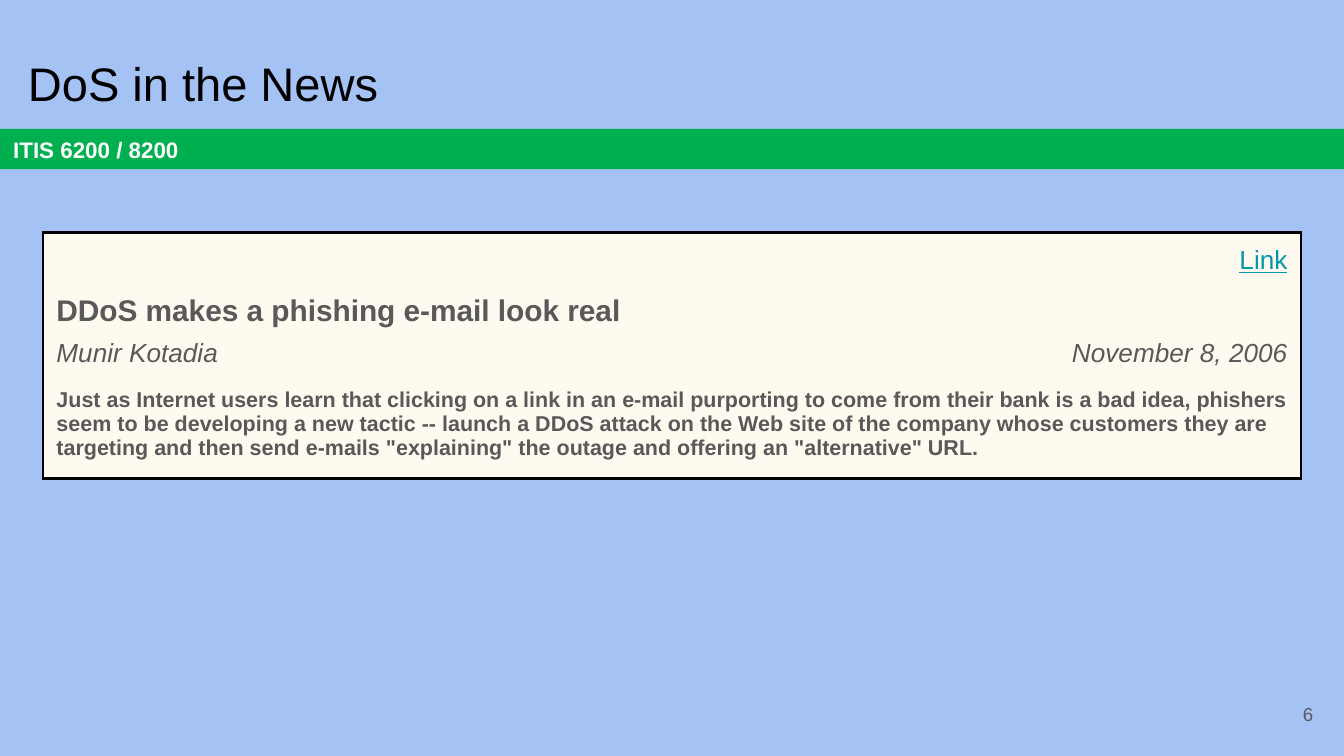
from lxml import etree
from pptx import Presentation
from pptx.dml.color import RGBColor
from pptx.enum import shapes, text
from pptx.oxml import ns
from pptx.util import Inches, Pt

BACKGROUND, BAND, CREAM = "A4C2F4", "00B050", "FFFAF0"
BLACK, WHITE, GREY, TEAL = "000000", "FFFFFF", "595959", "0097A7"
LEFT, RIGHT = text.PP_ALIGN.LEFT, text.PP_ALIGN.RIGHT
MIDDLE = text.MSO_ANCHOR.MIDDLE

COURSE = "ITIS 6200 / 8200"
TITLE = "DoS in the News"
PAGE = "6"
SUMMARY = (
    "Just as Internet users learn that clicking on a link in an e-mail "
    "purporting to come from their bank is a bad idea, phishers seem to be "
    "developing a new tactic -- launch a DDoS attack on the Web site of the "
    "company whose customers they are targeting and then send e-mails "
    '"explaining" the outage and offering an "alternative" URL.'
)
ARTICLE = [
    {"height": 0.39, "pad": 0.1, "cells": ["", "Link"],
     "style": {"size": 14, "color": TEAL, "underline": True}},
    {"height": 0.27, "pad": 0.03,
     "cells": ["DDoS makes a phishing e-mail look real"],
     "style": {"size": 16, "color": GREY, "bold": True}},
    {"height": 0.25, "pad": 0.03,
     "cells": ["Munir Kotadia", "November 8, 2006"],
     "style": {"size": 14, "color": GREY, "italic": True}},
    {"height": 0.68, "pad": 0.1, "cells": [SUMMARY],
     "style": {"size": 11.5, "color": GREY, "bold": True}},
]
COLUMN_WIDTH = 4.68


def rgb(value):
    return RGBColor.from_string(value)


def write(frame, words, size, color, align=LEFT, bold=False, italic=False,
          underline=False):
    paragraph = frame.paragraphs[0]
    if words:
        paragraph.text = words
    paragraph.alignment = align
    font = paragraph.font
    font.name, font.size = "Arial", Pt(size)
    font.bold, font.italic, font.underline = bold, italic, underline
    font.color.rgb = rgb(color)


def pad(part, side, vertical):
    part.margin_left = part.margin_right = Inches(side)
    part.margin_top = part.margin_bottom = Inches(vertical)


def write_box(box, words, **style):
    frame = box.text_frame
    frame.word_wrap = True
    frame.vertical_anchor = MIDDLE
    pad(frame, 0.1, 0.1)
    write(frame, words, **style)


def draw_borders(cell, sides):
    properties = cell._tc.get_or_add_tcPr()
    for side in "LRTB":
        line = etree.SubElement(properties, ns.qn(f"a:ln{side}"))
        if side in sides:
            line.set("w", str(Pt(1.5)))
            fill = etree.SubElement(line, ns.qn("a:solidFill"))
            etree.SubElement(fill, ns.qn("a:srgbClr"), val=BLACK)
        else:
            etree.SubElement(line, ns.qn("a:noFill"))


def outer_sides(row, first, last):
    edges = {"L": first == 0, "R": last == 1,
             "T": row == 0, "B": row == len(ARTICLE) - 1}
    return [side for side, outer in edges.items() if outer]


def add_article(slide):
    table = slide.shapes.add_table(
        len(ARTICLE), 2, Inches(0.32), Inches(1.73),
        Inches(2 * COLUMN_WIDTH),
        Inches(sum(row["height"] for row in ARTICLE))).table
    table.first_row = table.horz_banding = False
    for column in table.columns:
        column.width = Inches(COLUMN_WIDTH)
    for r, row in enumerate(ARTICLE):
        table.rows[r].height = Inches(row["height"])
        merged = len(row["cells"]) == 1
        if merged:
            table.cell(r, 0).merge(table.cell(r, 1))
        for c in range(2):
            cell = table.cell(r, c)
            draw_borders(cell, outer_sides(r, c, 1 if merged else c))
            cell.fill.solid()
            cell.fill.fore_color.rgb = rgb(CREAM)
            pad(cell, 0.1, row["pad"])
            words = row["cells"][c] if c < len(row["cells"]) else ""
            write(cell.text_frame, words, align=(LEFT, RIGHT)[c],
                  **row["style"])


def main():
    deck = Presentation()
    deck.slide_width = Inches(10)
    deck.slide_height = deck.slide_width * 9 // 16
    slide = deck.slides.add_slide(deck.slide_layouts[6])
    slide.background.fill.solid()
    slide.background.fill.fore_color.rgb = rgb(BACKGROUND)

    band = slide.shapes.add_shape(
        shapes.MSO_SHAPE.RECTANGLE, 0, Inches(0.96), Inches(10), Inches(0.3))
    band.shadow.inherit = False
    band.fill.solid()
    band.fill.fore_color.rgb = rgb(BAND)
    band.line.fill.background()
    write_box(band, COURSE, size=12, color=WHITE, bold=True)

    title = slide.shapes.add_textbox(
        Inches(0.11), Inches(0.3), Inches(9.32), Inches(0.63))
    write_box(title, TITLE, size=25.2, color=BLACK)

    page = slide.shapes.add_textbox(
        Inches(9.27), Inches(5.1), Inches(0.6), Inches(0.43))
    write_box(page, PAGE, size=10, color=GREY, align=RIGHT)

    add_article(slide)
    deck.save("out.pptx")


if __name__ == "__main__":
    main()
